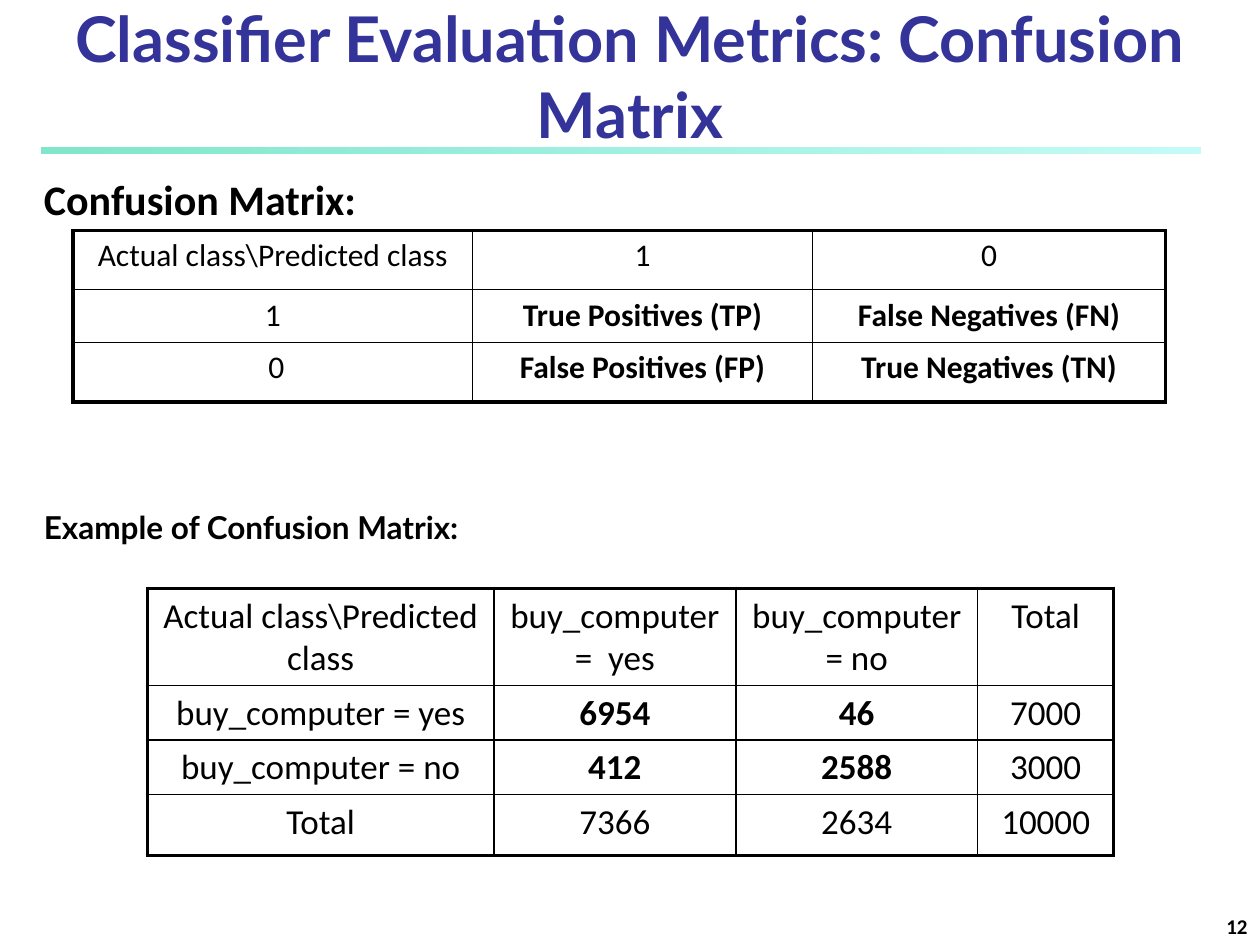
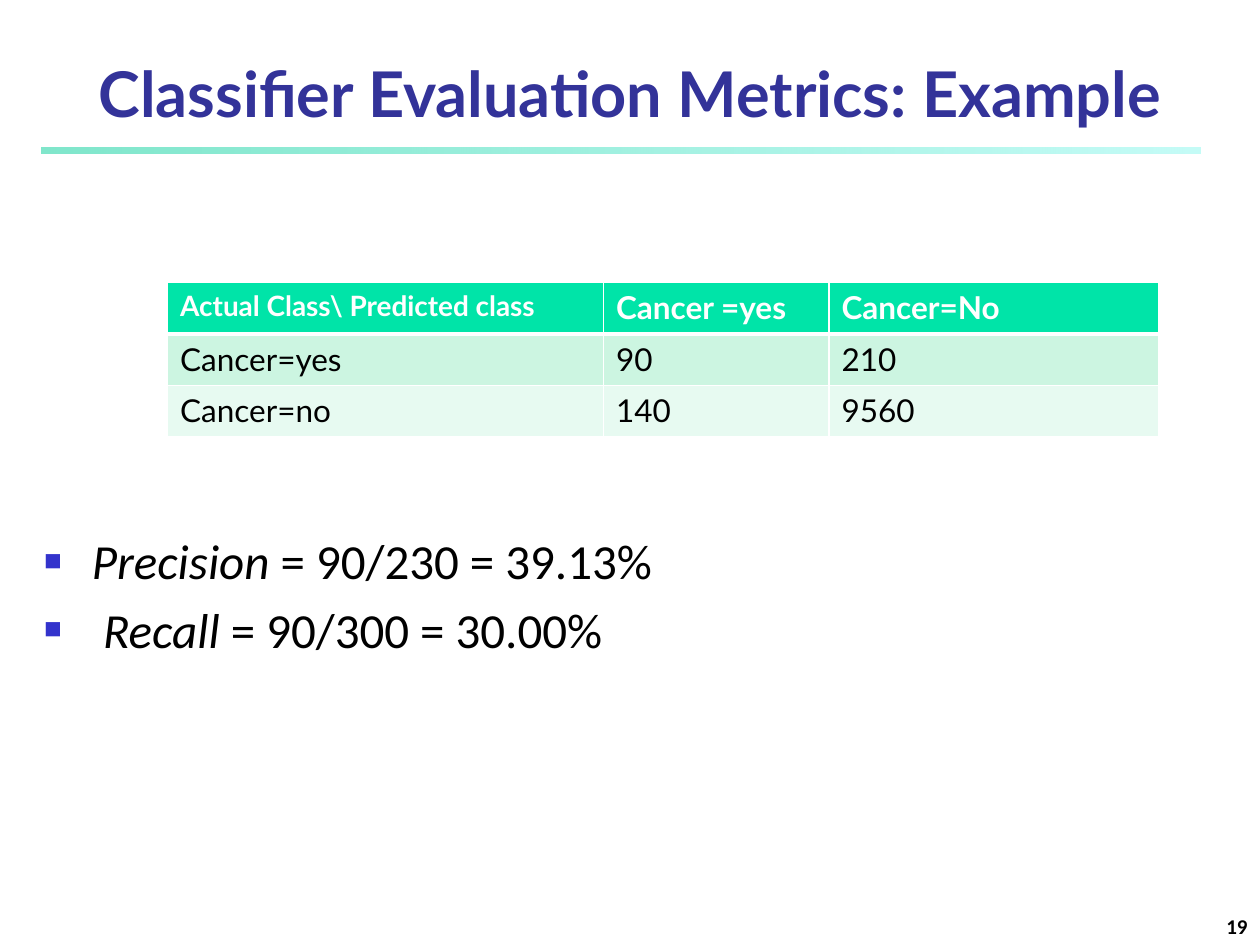
from lxml import etree
from pptx import Presentation
from pptx.dml.color import RGBColor as RGB
from pptx.enum.shapes import MSO_SHAPE as Shape
from pptx.enum.text import MSO_ANCHOR as Anchor, MSO_AUTO_SIZE as AutoSize, PP_ALIGN as Align
from pptx.oxml.ns import qn
from pptx.util import Inches, Pt

# ---- Theme: colours, fonts and type sizes ----
THEME = {
    "black": "000000", "white": "FFFFFF", "title": "333399", "bullet": "3333CC",
    "band": [("00CE98", 50), ("8FF9EF", 52)],
    "header": "00E4A8", "stripes": ["CCF5E1", "E7FAF1"],
    "space_before": 0.2,
}
STYLES = {
    "title": {"name": "Lato", "size": Pt(36), "bold": True},
    "heading": {"name": "Calibri", "size": Pt(24), "bold": True},
    "subheading": {"name": "Lato", "size": Pt(18), "bold": True},
    "body": {"name": "Calibri", "size": Pt(28), "bold": False},
    "page": {"name": "Calibri", "size": Pt(12), "bold": True},
    "matrix": {"name": "Calibri", "size": Pt(18), "bold": False},
    "example": {"name": "Calibri", "size": Pt(20), "bold": False},
    "cancer": {"name": "Lato", "size": Pt(18), "bold": False},
}
BAND_BOX = (0.33, 1.17, 9.2, 0.05)
PAGE_BOX = (7.92, 7.08, 2.08, 0.42)

# ---- Content ----
MATRIX = {
    "box": (0.58, 1.83), "columns": [3.17, 2.7, 2.8], "rows": [0.47, 0.42, 0.47],
    "style": "matrix", "bold": {(1, 1), (1, 2), (2, 1), (2, 2)},
    "cells": [
        ["Actual class\\Predicted class", "1", "0"],
        ["1", "True Positives (TP)", "False Negatives (FN)"],
        [" 0", "False Positives (FP)", "True Negatives (TN)"],
    ],
}
EXAMPLE = {
    "box": (1.17, 4.67), "columns": [2.75, 1.92, 1.92, 1.08],
    "rows": [0.77, 0.43, 0.43, 0.48],
    "style": "example", "bold": {(1, 1), (1, 2), (2, 1), (2, 2)},
    "cells": [
        ["Actual class\\Predicted class", "buy_computer =  yes", "buy_computer = no", "Total"],
        ["buy_computer = yes", "6954", "46", "7000"],
        ["buy_computer = no", "412", "2588", "3000"],
        ["Total", "7366", "2634", "10000"],
    ],
}
CANCER = {
    "box": (1.33, 2.24), "columns": [3.46, 1.79, 2.62], "rows": [0.41] * 3,
    "style": "cancer", "bold": {(0, 0), (0, 1), (0, 2)}, "striped": True,
    "sizes": {(0, 0): Pt(16)},
    "cells": [
        ["Actual Class\\ Predicted class", "Cancer =yes", "Cancer=No"],
        ["Cancer=yes", "90", "210"],
        ["Cancer=no", "140", "9560"],
    ],
}
SLIDES = [
    {
        "layout": "Title Only", "title": "Classifier Evaluation Metrics: Confusion Matrix",
        "title_box": (0, 0, 10, 1.25), "page": "12", "tables": [EXAMPLE, MATRIX],
        "headings": [
            ("Confusion Matrix:", "heading", (0.25, 1.33, 2.85, 0.5)),
            ("Example of Confusion Matrix:", "subheading", (0.25, 3.98, 3.9, 0.4)),
        ],
    },
    {
        "layout": "Title and Content", "title": "Classifier Evaluation Metrics: Example",
        "title_box": (0, 0.25, 10, 0.83), "page": "19", "tables": [CANCER],
        "headings": [], "list_box": (0.25, 4.16, 9.68, 1.42),
        # Each item is a list of (text, italic) runs
        "list": [
            [("Precision", True), (" = 90/230 = 39.13%", False)],
            [(" ", False), ("Recall", True), (" = 90/300 = 30.00%", False)],
        ],
    },
]


# ---- Text helpers ----
def set_values(target, values):
    for name, value in values.items():
        setattr(target, name, value)


def add_run(paragraph, text, style, color="black", **changes):
    run = paragraph.add_run()
    run.text = text
    set_values(run.font, {**STYLES[style], **changes})
    run.font.color.rgb = RGB.from_string(THEME[color])


def place(shape, box):
    set_values(shape, dict(zip(("left", "top", "width", "height"), map(Inches, box))))


def add_text(slide, text, style, box, align=Align.LEFT, anchor=Anchor.TOP):
    shape = slide.shapes.add_textbox(*map(Inches, box))
    set_values(shape.text_frame, {"word_wrap": False, "vertical_anchor": anchor})
    paragraph = shape.text_frame.paragraphs[0]
    paragraph.alignment = align
    add_run(paragraph, text, style)


# ---- Shared parts: title, band and page number ----
def add_frame(slide, content):
    title = slide.shapes.title
    place(title, content["title_box"])
    set_values(title.text_frame, {"auto_size": AutoSize.NONE, "word_wrap": True,
                                  "vertical_anchor": Anchor.BOTTOM})
    paragraph = title.text_frame.paragraphs[0]
    paragraph.alignment = Align.CENTER
    add_run(paragraph, content["title"], "title", "title")

    band = slide.shapes.add_shape(Shape.RECTANGLE, *map(Inches, BAND_BOX))
    band.shadow.inherit = False
    band.line.fill.background()
    band.fill.gradient()
    band.fill.gradient_angle = 0
    for stop, (color, _) in zip(band.fill.gradient_stops, THEME["band"]):
        stop.color.rgb = RGB.from_string(color)
    for element, (_, opacity) in zip(band.element.iter(qn("a:srgbClr")), THEME["band"]):
        etree.SubElement(element, qn("a:alpha"), val=str(opacity * 1000))

    add_text(slide, content["page"], "page", PAGE_BOX, Align.RIGHT, Anchor.BOTTOM)


# ---- Tables ----
def set_borders(cell, color, widths):
    properties = cell._tc.get_or_add_tcPr()
    for side, width in widths.items():
        line = etree.SubElement(properties, qn(f"a:ln{side}"), w=str(Pt(width)))
        fill = etree.SubElement(line, qn("a:solidFill"))
        etree.SubElement(fill, qn("a:srgbClr"), val=color)


def border_widths(row, column, last_row, last_column, striped):
    if striped:
        return {"L": 1, "R": 1, "T": 3 if row == 1 else 1, "B": 3 if row == 0 else 1}
    on_edge = {"L": column == 0, "R": column == last_column,
               "T": row == 0, "B": row == last_row}
    return {side: 2.25 if outer else 1 for side, outer in on_edge.items()}


def add_matrix(slide, content):
    columns, rows = content["columns"], content["rows"]
    striped = content.get("striped", False)
    box = (*content["box"], sum(columns), sum(rows))
    table = slide.shapes.add_table(len(rows), len(columns), *map(Inches, box)).table
    set_values(table, {"first_row": striped, "horz_banding": striped})
    for column, width in zip(table.columns, columns):
        column.width = Inches(width)
    for row, height in zip(table.rows, rows):
        row.height = Inches(height)

    for i, texts in enumerate(content["cells"]):
        for j, text in enumerate(texts):
            cell = table.cell(i, j)
            widths = border_widths(i, j, len(rows) - 1, len(columns) - 1, striped)
            set_borders(cell, THEME["white" if striped else "black"], widths)
            if striped:
                fill = THEME["header"] if i == 0 else THEME["stripes"][(i - 1) % 2]
                cell.fill.solid()
                cell.fill.fore_color.rgb = RGB.from_string(fill)
            else:
                cell.fill.background()
            paragraph = cell.text_frame.paragraphs[0]
            paragraph.alignment = Align.LEFT if striped else Align.CENTER
            size = content.get("sizes", {}).get((i, j), STYLES[content["style"]]["size"])
            add_run(paragraph, text, content["style"], "white" if striped and i == 0 else "black",
                    bold=(i, j) in content["bold"], size=size)


# ---- Bulleted list ----
def add_bullet(paragraph):
    properties = paragraph._p.get_or_add_pPr()
    set_indent = {"marL": Inches(0.38), "indent": -Inches(0.38)}
    for name, value in set_indent.items():
        properties.set(name, str(value))
    color = etree.SubElement(properties, qn("a:buClr"))
    etree.SubElement(color, qn("a:srgbClr"), val=THEME["bullet"])
    etree.SubElement(properties, qn("a:buSzPct"), val="60000")
    etree.SubElement(properties, qn("a:buChar"), char="■")


def add_list(slide, content):
    body = slide.placeholders[1]
    place(body, content["list_box"])
    frame = body.text_frame
    set_values(frame, {"auto_size": AutoSize.NONE, "word_wrap": True})
    for index, runs in enumerate(content["list"]):
        paragraph = frame.add_paragraph() if index else frame.paragraphs[0]
        paragraph.space_before = Pt(STYLES["body"]["size"].pt * THEME["space_before"])
        add_bullet(paragraph)
        for text, italic in runs:
            add_run(paragraph, text, "body", italic=italic)


# ---- Build ----
def main():
    presentation = Presentation()
    set_values(presentation, {"slide_width": Inches(10), "slide_height": Inches(7.5)})
    for content in SLIDES:
        layout = presentation.slide_layouts.get_by_name(content["layout"])
        slide = presentation.slides.add_slide(layout)
        add_frame(slide, content)
        for table in content["tables"]:
            add_matrix(slide, table)
        for text, style, box in content["headings"]:
            add_text(slide, text, style, box)
        if "list" in content:
            add_list(slide, content)
    presentation.save("out.pptx")


if __name__ == "__main__":
    main()
